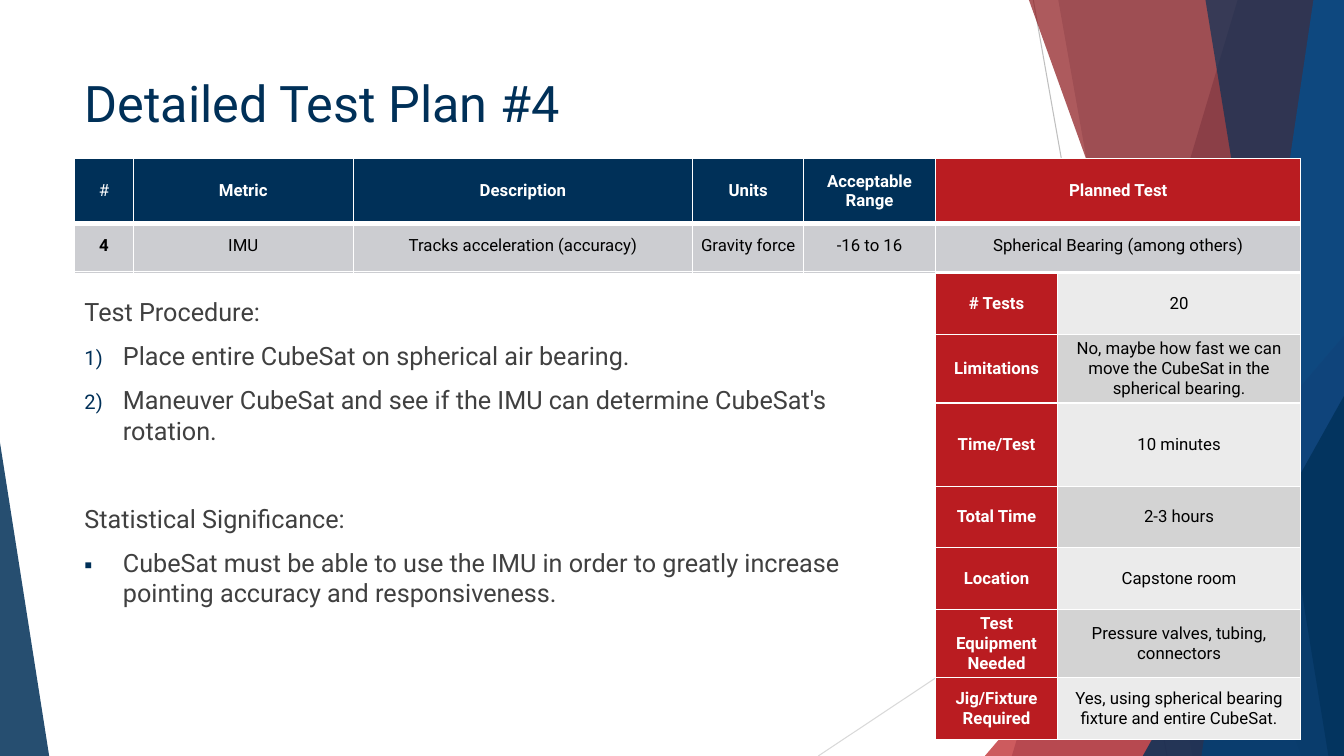
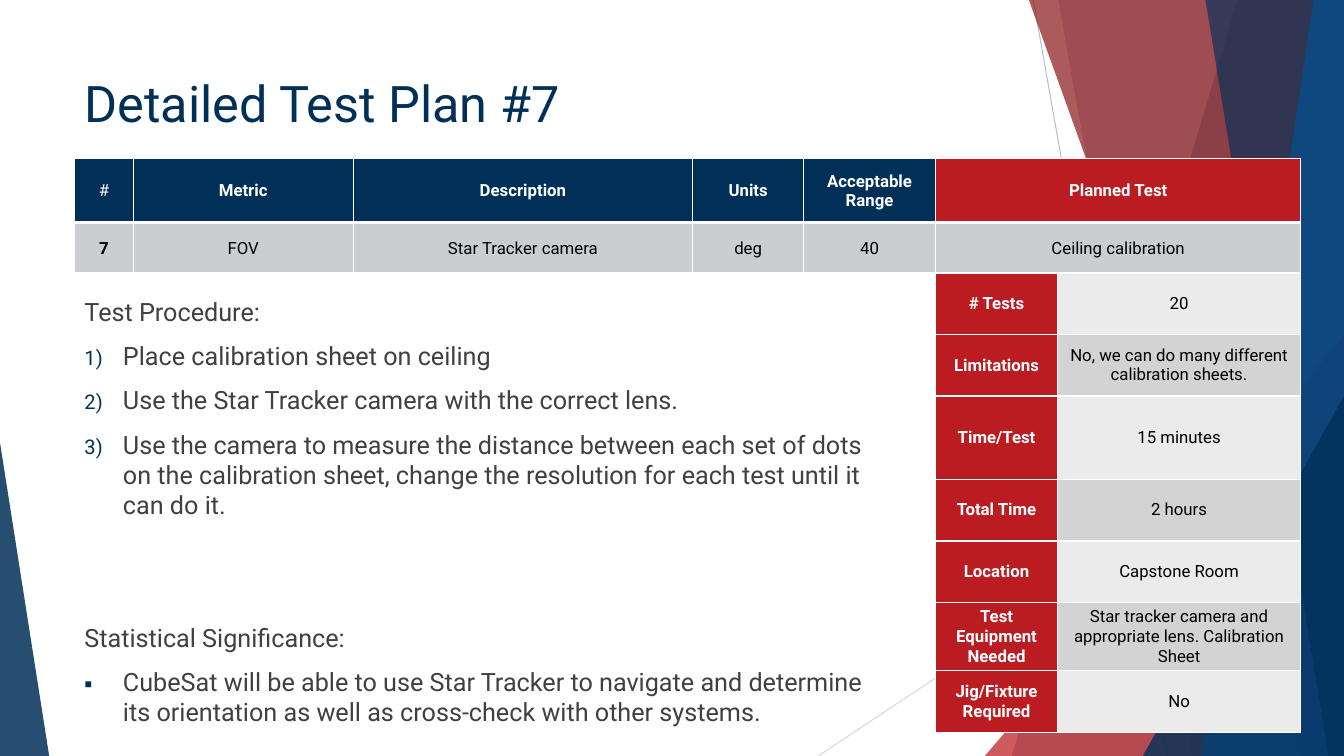
from lxml.etree import SubElement
from pptx import Presentation
from pptx.dml.color import RGBColor
from pptx.enum.shapes import MSO_CONNECTOR, MSO_SHAPE
from pptx.enum.text import MSO_ANCHOR, PP_ALIGN
from pptx.oxml.ns import qn
from pptx.util import Cm, Pt

FONT = "Roboto"
COLORS = {
    "navy": "003058", "red": "BA1C21", "dark red": "8B1519", "blue": "028CFF",
    "white": "FFFFFF", "black": "000000", "text": "404040",
    "value": "CCCDD1", "light": "EBEBEB", "medium": "D3D3D3",
    "line": "BFBFBF", "pale line": "D9D9D9",
}
WIDTH, HEIGHT = 33.87, 19.05
LEFT = 1.88

# Bands reach the right edge: top x, bottom x, colour, opacity in percent
BANDS_BEHIND = [(31.19, 25.5, "navy", 30), (26.67, 30.05, "navy", 20)]
BANDS_IN_FRONT = [
    (25.93, 32.79, "dark red", 70),
    (33.1, 30.28, "blue", 70),
    (30.38, 33.48, "navy", 65),
]

SUMMARY_COLUMNS = [1.48, 5.54, 8.56, 2.79, 3.33, 9.2]
SUMMARY_ROWS = [1.65, 1.25]
SUMMARY_TOP = 3.99
SUMMARY_HEADS = ["#", "Metric", "Description", "Units", "Acceptable\nRange", "Planned Test"]
RULED_ROWS = [(5.59, 1.3), (5.59, 1.24)]
VALUES_TOP, VALUES_HEIGHT = 5.64, 1.24
DETAIL_TOP = 6.88
DETAIL_COLUMNS = [3.07, 6.13]
DETAIL_ROWS = [1.55, 1.55, 2.1, 1.55, 1.55, 1.55, 1.55]
DETAIL_LABELS = [
    "# Tests", "Limitations", "Time/Test", "Total Time", "Location",
    "Test\nEquipment\nNeeded", "Jig/Fixture\nRequired",
]

PLANS = [
    {
        "values": ["4", "IMU", "Tracks acceleration (accuracy)", "Gravity force",
                   "-16 to 16", "Spherical Bearing (among others)"],
        "value style": {"fill": None, "border": 0.75, "line_spacing": Pt(10.5)},
        "details": ["20", "No, maybe how fast we can move the CubeSat in the spherical bearing.",
                    "10 minutes", "2-3 hours", "Capstone room",
                    "Pressure valves, tubing, connectors",
                    "Yes, using spherical bearing fixture and entire CubeSat."],
        "steps": ["Place entire CubeSat on spherical air bearing.",
                  "Maneuver CubeSat and see if the IMU can determine CubeSat's rotation."],
        "gap": 41.5,
        "significance": "CubeSat must be able to use the IMU in order to greatly increase "
                        "pointing accuracy and responsiveness.",
    },
    {
        "values": ["7", "FOV", "Star Tracker camera", "deg", "40", "Ceiling calibration"],
        "value style": {"fill": "value", "border": 1, "line_spacing": None},
        "details": ["20", "No, we can do many different calibration sheets.", "15 minutes",
                    "2 hours", "Capstone Room",
                    "Star tracker camera and appropriate lens. Calibration Sheet", "No"],
        "steps": ["Place calibration sheet on ceiling",
                  "Use the Star Tracker camera with the correct lens.",
                  "Use the camera to measure the distance between each set of dots on the "
                  "calibration sheet, change the resolution for each test until it can do it."],
        "gap": 73,
        "significance": "CubeSat will be able to use Star Tracker to navigate and determine its "
                        "orientation as well as cross-check with other systems.",
    },
]


def rgb(name):
    return RGBColor.from_string(COLORS[name])


class TestPlanDeck:
    def __init__(self):
        self.deck = Presentation()
        self.deck.slide_width, self.deck.slide_height = Cm(WIDTH), Cm(HEIGHT)
        self.page = None

    def new_page(self):
        self.page = self.deck.slides.add_slide(self.deck.slide_layouts[6])
        self.line(26.04, 0, 29.41, HEIGHT, "line")
        self.line(WIDTH, 10.24, 20.62, HEIGHT, "pale line")
        for band in BANDS_BEHIND:
            self.band(*band)
        self.triangle(24.82, 8.46, 9.05, 1, "red", 72)
        for band in BANDS_IN_FRONT:
            self.band(*band)
        self.triangle(28.8, 9.98, 5.07, 1, "navy", 80)
        self.triangle(0, 11.15, 1.24, 0, "navy", 85)

    def line(self, x1, y1, x2, y2, color):
        connector = self.page.shapes.add_connector(
            MSO_CONNECTOR.STRAIGHT, Cm(x1), Cm(y1), Cm(x2), Cm(y2))
        connector.line.color.rgb = rgb(color)
        connector.line.width = Pt(0.75)
        SubElement(connector._element.spPr, qn("a:effectLst"))

    def band(self, top_x, bottom_x, color, opacity):
        builder = self.page.shapes.build_freeform(Cm(top_x), 0)
        corners = [(WIDTH, 0), (WIDTH, HEIGHT), (bottom_x, HEIGHT)]
        builder.add_line_segments([(Cm(x), Cm(y)) for x, y in corners])
        self.tint(builder.convert_to_shape(), color, opacity)

    def triangle(self, left, top, width, apex, color, opacity):
        """Draw a right triangle standing on the lower edge; apex is 0 (left) or 1 (right)."""
        shape = self.page.shapes.add_shape(
            MSO_SHAPE.ISOSCELES_TRIANGLE, Cm(left), Cm(top), Cm(width), Cm(HEIGHT - top))
        shape.adjustments[0] = apex
        self.tint(shape, color, opacity)

    def tint(self, shape, color, opacity):
        shape.shadow.inherit = False
        shape.line.fill.background()
        shape.fill.solid()
        shape.fill.fore_color.rgb = rgb(color)
        color_element = shape._element.spPr.find(qn("a:solidFill"))[0]
        SubElement(color_element, qn("a:alpha"), val=str(opacity * 1000))

    def text_box(self, top, width, height):
        box = self.page.shapes.add_textbox(Cm(LEFT), Cm(top), Cm(width), Cm(height))
        box.text_frame.word_wrap = True
        return box.text_frame

    def format_runs(self, para, size, color, bold=False):
        for span in para.runs:
            span.font.name = FONT
            span.font.size = Pt(size)
            span.font.bold = bold
            span.font.color.rgb = rgb(color)

    def title(self, text):
        frame = self.text_box(1.7, 23.88, 3.66)
        frame.text = text
        self.format_runs(frame.paragraphs[0], 36, "navy")

    def bullet(self, para, kind, **attributes):
        properties = para._p.get_or_add_pPr()
        properties.set("marL", str(int(Cm(0.97))))
        properties.set("indent", str(int(Cm(-0.97))))
        color = SubElement(properties, qn("a:buClr"))
        SubElement(color, qn("a:srgbClr"), val=COLORS["navy"])
        SubElement(properties, qn("a:buSzPct"), val="80000")
        if kind == "a:buChar":
            SubElement(properties, qn("a:buFont"), typeface="Noto Sans Symbols")
        SubElement(properties, qn(kind), **attributes)

    def body(self, steps, gap, significance):
        """Write the steps and, gap points below them, the significance."""
        frame = self.text_box(7.34, 20.68, 11.38)
        number = ("a:buAutoNum", {"type": "arabicParenR"})
        square = ("a:buChar", {"char": "▪"})
        lines = [("Test Procedure:", 0, None)]
        lines += [(step, 10, number) for step in steps]
        lines += [("Statistical Significance:", gap, None), (significance, 10, square)]
        for index, (text, space, mark) in enumerate(lines):
            para = frame.add_paragraph() if index else frame.paragraphs[0]
            para.text = text
            if mark:
                self.bullet(para, mark[0], **mark[1])
            para.space_before = Pt(space)
            self.format_runs(para, 18, "text")

    def table(self, left, top, columns, rows):
        table = self.page.shapes.add_table(
            len(rows), len(columns), Cm(left), Cm(top), Cm(sum(columns)), Cm(sum(rows))).table
        table.first_row = table.horz_banding = False
        for column, width in zip(table.columns, columns):
            column.width = Cm(width)
        for row, height in zip(table.rows, rows):
            row.height = Cm(height)
        return table

    def cell(self, cell, text="", fill=None, color="black", bold=False, border=1, bottom=None):
        """Style a cell; border widths are in points, and no fill leaves it clear."""
        properties = cell._tc.get_or_add_tcPr()
        for side, width in zip("LRTB", (border, border, border, bottom or border)):
            edge = SubElement(properties, qn(f"a:ln{side}"), w=str(int(Pt(width))))
            paint = SubElement(edge, qn("a:solidFill"))
            SubElement(paint, qn("a:srgbClr"), val=COLORS["white"])
        if fill:
            cell.fill.solid()
            cell.fill.fore_color.rgb = rgb(fill)
        else:
            cell.fill.background()
        cell.margin_top = cell.margin_bottom = Cm(0.1)
        if text:
            cell.vertical_anchor = MSO_ANCHOR.MIDDLE
            cell.text_frame.text = text
            for para in cell.text_frame.paragraphs:
                para.alignment = PP_ALIGN.CENTER
                self.format_runs(para, 12, color, bold)

    def summary_heads(self):
        table = self.table(LEFT, SUMMARY_TOP, SUMMARY_COLUMNS, SUMMARY_ROWS)
        for index, head in enumerate(SUMMARY_HEADS):
            fill = "red" if head == "Planned Test" else "navy"
            self.cell(table.cell(0, index), head, fill, "white", bold=index > 0, bottom=3)
            self.cell(table.cell(1, index), fill="value")

    def ruled_row(self, top, height):
        table = self.table(LEFT, top, SUMMARY_COLUMNS, [height])
        for cell in table.iter_cells():
            self.cell(cell, border=0.75)

    def summary_values(self, values, fill, border, line_spacing):
        table = self.table(LEFT, VALUES_TOP, SUMMARY_COLUMNS, [VALUES_HEIGHT])
        for index, value in enumerate(values):
            cell = table.cell(0, index)
            self.cell(cell, value, fill, bold=index == 0, border=border)
            cell.margin_left = cell.margin_right = Cm(0.18)
            cell.text_frame.paragraphs[0].line_spacing = line_spacing

    def details(self, values):
        left = LEFT + sum(SUMMARY_COLUMNS[:-1])
        table = self.table(left, DETAIL_TOP, DETAIL_COLUMNS, DETAIL_ROWS)
        for index, (label, value) in enumerate(zip(DETAIL_LABELS, values)):
            self.cell(table.cell(index, 0), label, "red", "white", bold=True)
            self.cell(table.cell(index, 1), value, "medium" if index % 2 else "light")


def main():
    plans = TestPlanDeck()
    for plan in PLANS:
        plans.new_page()
        plans.title(f"Detailed Test Plan #{plan['values'][0]}")
        plans.body(plan["steps"], plan["gap"], plan["significance"])
        plans.summary_heads()
        plans.details(plan["details"])
        for row in RULED_ROWS:
            plans.ruled_row(*row)
        plans.summary_values(plan["values"], **plan["value style"])
    plans.deck.save("out.pptx")


if __name__ == "__main__":
    main()
